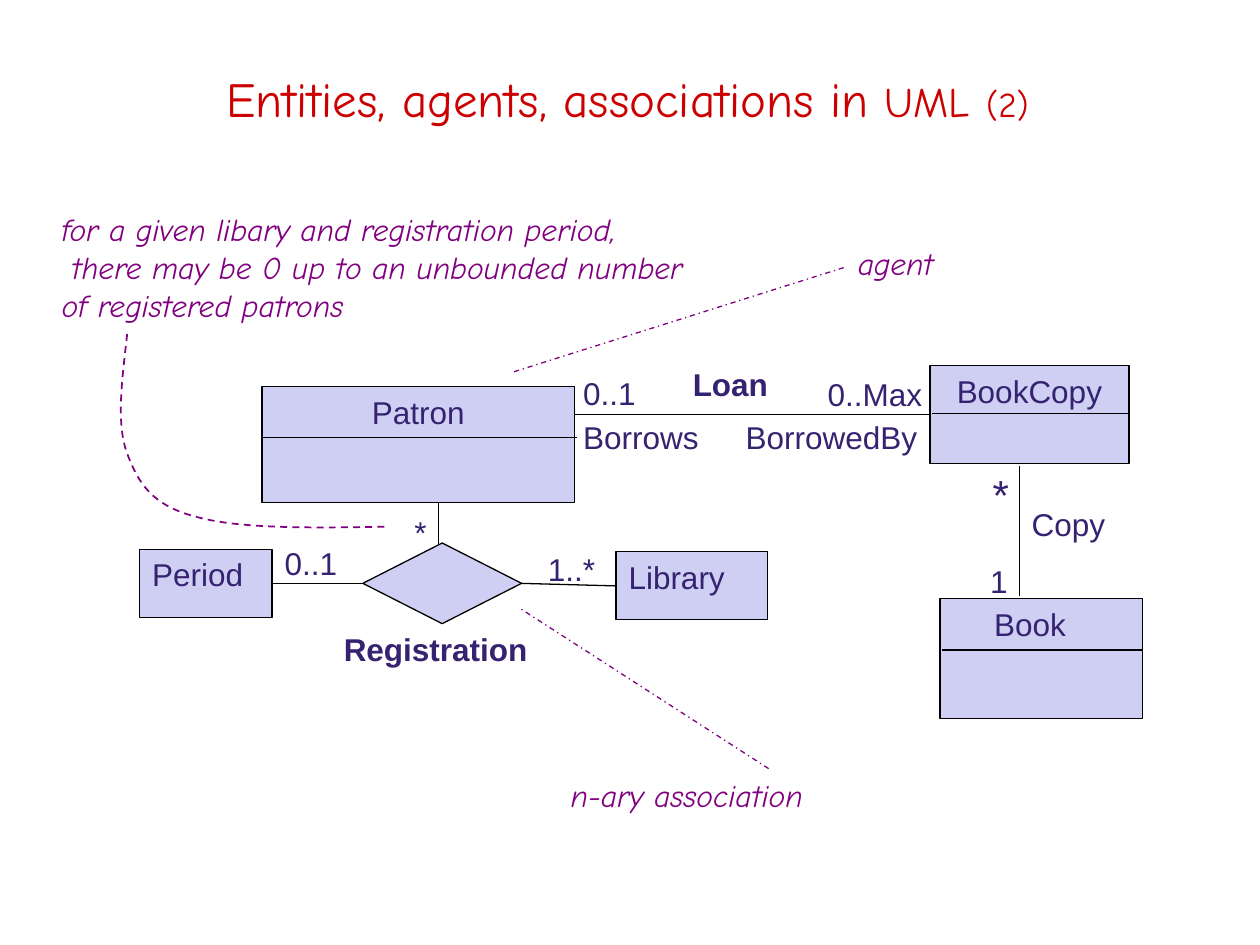
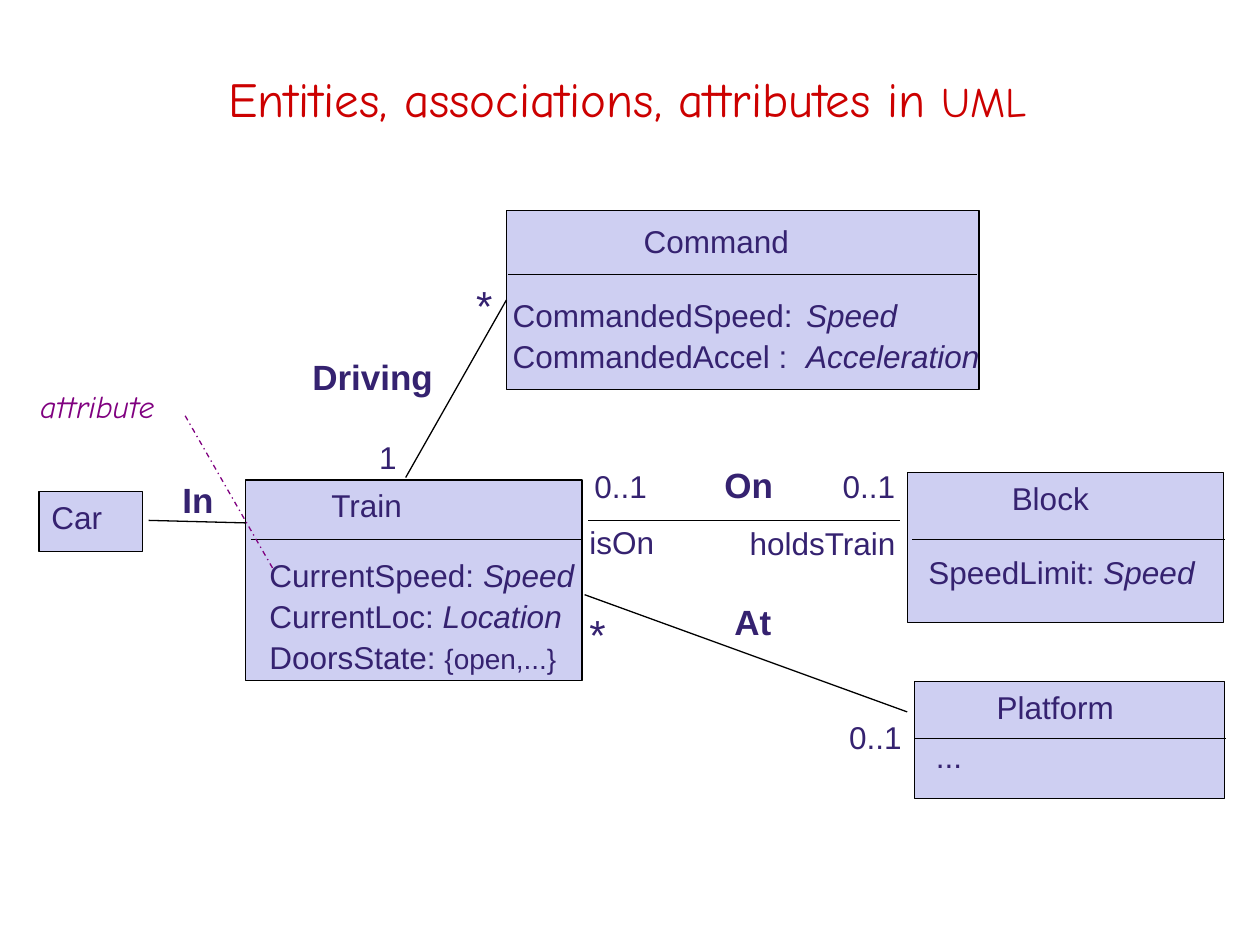
import pptx
import pptx.dml.color
import pptx.enum.dml
import pptx.enum.shapes
import pptx.enum.text
import pptx.oxml.ns
import pptx.util
from lxml import etree

Inches = pptx.util.Inches
Pt = pptx.util.Pt
qn = pptx.oxml.ns.qn
ALIGN = pptx.enum.text.PP_ALIGN
ANCHOR = pptx.enum.text.MSO_ANCHOR
SHAPE = pptx.enum.shapes.MSO_SHAPE
DASH = pptx.enum.dml.MSO_LINE

COLORS = {"title": "CC0000", "ink": "352270", "note": "800080",
          "box": "CECFF2", "line": "000000"}
LEFT, RIGHT = 1, 3  # connection sites

# Text formats
NAME = {"name": "Arial", "size": Pt(18), "color": "ink"}
STAR = {**NAME, "size": Pt(24)}
ASSOCIATION = {**NAME, "bold": True}
BIG_ASSOCIATION = {**ASSOCIATION, "size": Pt(20)}
NOTE = {"name": "Comic Neue", "size": Pt(18), "italic": True, "color": "note"}
TITLE = {"name": "Comic Neue", "size": Pt(28), "color": "title"}
TYPE = {"italic": True}


def rgb(key):
    return pptx.dml.color.RGBColor.from_string(COLORS[key])


class UmlDeck:
    """Holds the presentation, its style and the current slide."""

    def __init__(self):
        self.prs = pptx.Presentation()
        self.prs.slide_width, self.prs.slide_height = Inches(10), Inches(7.5)
        self.slide = None

    def new_slide(self, *title_runs):
        self.slide = self.prs.slides.add_slide(self.prs.slide_layouts[6])
        title = self.label([title_runs], 0.17, 0.33, 9.62, 0.89, TITLE)
        title.text_frame.vertical_anchor = ANCHOR.MIDDLE
        title.text_frame.margin_right = Inches(0.1)
        title.text_frame.paragraphs[0].alignment = ALIGN.CENTER

    def set_text(self, frame, content, style, inset=0.1, align=ALIGN.LEFT, gap=0):
        """Content is a string, or paragraphs made of strings and (text, format) runs."""
        layout = {"word_wrap": True, "vertical_anchor": ANCHOR.TOP,
                  "margin_left": Inches(inset), "margin_right": 0,
                  "margin_top": Inches(0.05), "margin_bottom": Inches(0.05)}
        for key, value in layout.items():
            setattr(frame, key, value)
        paragraphs = [[content]] if isinstance(content, str) else content
        for index, runs in enumerate(paragraphs):
            paragraph = frame.add_paragraph() if index else frame.paragraphs[0]
            paragraph.alignment = align
            if index and gap:
                paragraph.space_before = Pt(gap)
            for part in runs:
                text, extra = (part, {}) if isinstance(part, str) else part
                run = paragraph.add_run()
                run.text = text
                for key, value in {**style, **extra}.items():
                    if key == "color":
                        run.font.color.rgb = rgb(value)
                    else:
                        setattr(run.font, key, value)

    def label(self, content, left, top, width, height, style=NAME, gap=0):
        label = self.slide.shapes.add_textbox(
            Inches(left), Inches(top), Inches(width), Inches(height))
        self.set_text(label.text_frame, content, style, gap=gap)
        return label

    def labels(self, style, *entries):
        for entry in entries:
            self.label(*entry, style=style)

    def box(self, name, left, top, width, height, inset=0.1, align=ALIGN.LEFT,
            kind=SHAPE.RECTANGLE, outlined=True):
        box = self.slide.shapes.add_shape(
            kind, Inches(left), Inches(top), Inches(width), Inches(height))
        box.shadow.inherit = False
        box.fill.solid()
        box.fill.fore_color.rgb = rgb("box")
        if outlined:
            self.stroke(box.line)
        else:
            box.line.fill.background()
        if name:
            self.set_text(box.text_frame, name, NAME, inset, align)
            if align == ALIGN.CENTER:
                box.text_frame.margin_right = Inches(inset)
        return box

    def stroke(self, line, color="line", width=0.75, dash=None):
        line.color.rgb = rgb(color)
        line.width = Pt(width)
        if dash:
            line.dash_style = dash

    def line(self, x1, y1, x2, y2, begin=None, end=None, **stroke):
        """begin and end are (box, side) pairs to join."""
        line = self.slide.shapes.add_connector(
            pptx.enum.shapes.MSO_CONNECTOR.STRAIGHT,
            Inches(x1), Inches(y1), Inches(x2), Inches(y2))
        self.stroke(line.line, **stroke)
        etree.SubElement(line._element.spPr, qn("a:effectLst"))
        if begin:
            line.begin_connect(*begin)
        if end:
            line.end_connect(*end)

    def pointer(self, *ends):
        self.line(*ends, color="note", dash=DASH.DASH_DOT)

    def curve(self, start, *points):
        """Dashed curve; every three points are one cubic segment."""
        x, y = start
        builder = self.slide.shapes.build_freeform(Inches(x), Inches(y))
        builder.add_line_segments(
            [(Inches(px), Inches(py)) for px, py in points], close=False)
        curve = builder.convert_to_shape()
        curve.shadow.inherit = False
        curve.fill.background()
        self.stroke(curve.line, "note", 1, DASH.DASH)
        outline = curve._element.find(".//" + qn("a:path"))
        steps = outline.findall(qn("a:lnTo"))
        for first in range(0, len(steps), 3):
            segment = etree.SubElement(outline, qn("a:cubicBezTo"))
            for step in steps[first:first + 3]:
                segment.append(step[0])
                outline.remove(step)


def library_slide(deck):
    deck.new_slide("Entities, agents, associations in ", ("UML", {"size": Pt(24)}),
                   " ", ("(2)", {"size": Pt(20)}))

    # Lines that run under the boxes
    deck.line(3.48, 3.61, 3.48, 4.39)
    deck.line(8.09, 3.7, 8.09, 4.73)

    # Entities and the n-ary association
    book_copy = deck.box("BookCopy", 7.38, 2.9, 1.58, 0.78, align=ALIGN.CENTER)
    deck.box("Book", 7.46, 4.75, 1.61, 0.95, inset=0.43)
    registration = deck.box(None, 2.88, 4.31, 1.26, 0.64,
                            kind=SHAPE.FLOWCHART_DECISION)
    library = deck.box("Library", 4.89, 4.38, 1.2, 0.54)
    period = deck.box("Period", 1.11, 4.36, 1.05, 0.54)
    deck.line(4.54, 3.29, 7.38, 3.29, end=(book_copy, LEFT))
    deck.box("Patron", 2.08, 3.07, 2.48, 0.92, align=ALIGN.CENTER)

    # Joined ends and name dividers
    deck.line(4.14, 4.63, 4.89, 4.65, (registration, RIGHT), (library, LEFT))
    deck.line(2.16, 4.63, 2.88, 4.63, (period, RIGHT), (registration, LEFT))
    for left, right, y in ((7.4, 8.97, 3.28), (7.48, 9.07, 5.16), (2.08, 4.58, 3.47)):
        deck.line(left, y, right, y)

    # Roles, multiplicities and association names
    deck.labels(NAME,
                ("Copy", 8.09, 3.96, 1, 0.46),
                ("BorrowedBy", 5.82, 3.27, 1.62, 0.46),
                ("Borrows", 4.53, 3.27, 1.31, 0.46),
                ("1", 7.76, 4.41, 0.55, 0.46),
                ("0..1", 4.53, 2.92, 0.62, 0.46),
                ("0..Max", 6.47, 2.93, 1.06, 0.46),
                ("0..1", 2.16, 4.27, 0.62, 0.46),
                ("1..*", 4.25, 4.32, 0.62, 0.46),
                ("*", 3.19, 4.02, 0.37, 0.29))
    deck.labels(STAR, ("*", 7.78, 3.67, 0.55, 0.46))
    deck.labels(ASSOCIATION,
                ("Loan", 5.4, 2.85, 0.84, 0.46),
                ("Registration", 2.63, 4.95, 1.71, 0.46))

    # Notes and their pointers
    deck.labels(NOTE,
                ("n-ary association", 4.43, 6.11, 2.51, 0.44),
                ("agent", 6.71, 1.89, 0.96, 0.39))
    multiplicity = deck.label([["for a given libary and registration period,"],
                               ["there may be 0 up to an unbounded number"],
                               ["of registered patrons"]],
                              0.39, 1.62, 5.43, 0.87, NOTE)
    second_line = multiplicity.text_frame.paragraphs[1]
    second_line._p.get_or_add_pPr().set("marL", str(Inches(0.08)))
    deck.curve((1.01, 2.65),
               (0.97, 3.01), (0.92, 3.36), (1.01, 3.6),
               (1.1, 3.84), (1.21, 4.01), (1.55, 4.1),
               (1.9, 4.2), (2.49, 4.19), (3.08, 4.18))
    deck.pointer(6.1, 6.1, 4.13, 4.83)
    deck.pointer(4.08, 2.95, 6.71, 2.12)


def train_slide(deck):
    deck.new_slide("Entities, associations, attributes in ", ("UML", {"size": Pt(24)}))

    # Entities
    deck.box("Platform", 7.26, 5.41, 2.46, 0.93, inset=0.65)
    deck.box("Block", 7.2, 3.75, 2.51, 1.19, inset=0.83)
    deck.box("Train", 1.95, 3.81, 2.67, 1.59, inset=0.68)
    deck.box("Car", 0.31, 3.9, 0.82, 0.48)
    command = deck.box(None, 4.02, 1.67, 3.75, 1.42)
    deck.box("Command", 5.01, 1.71, 2.22, 0.56, outlined=False)

    # Name dividers
    for left, right, y in ((7.24, 9.72, 4.28), (1.99, 4.61, 4.28),
                           (7.26, 9.73, 5.86), (4.03, 7.75, 2.18)):
        deck.line(left, y, right, y)

    # Attributes
    deck.label([["SpeedLimit: ", ("Speed", TYPE)]], 7.27, 4.34, 2.4, 0.6)
    deck.label([["CurrentSpeed: ", ("Speed", TYPE)],
                ["CurrentLoc: ", ("Location", TYPE)],
                ["DoorsState: ", ("{open,...}", {"size": Pt(16)})]],
               2.04, 4.36, 2.7, 1.01, gap=2)
    deck.label("...", 7.33, 5.8, 0.63, 0.64)
    commanded = deck.label([["CommandedSpeed:\t", ("Speed", TYPE)],
                            ["CommandedAccel :\t", ("Acceleration", TYPE)]],
                           3.97, 2.3, 3.92, 0.75, gap=2)
    for paragraph in commanded.text_frame.paragraphs:
        stops = etree.SubElement(paragraph._p.get_or_add_pPr(), qn("a:tabLst"))
        etree.SubElement(stops, qn("a:tab"), pos=str(Inches(2.33)), algn="l")

    # Associations
    deck.line(1.18, 4.13, 1.95, 4.15)
    deck.line(4.64, 4.72, 7.2, 5.65)
    deck.line(4.67, 4.13, 7.14, 4.13)
    deck.line(3.22, 3.79, 4.02, 2.38, end=(command, LEFT))
    deck.labels(BIG_ASSOCIATION,
                ("At", 5.73, 4.72, 1.06, 0.64),
                ("On", 5.65, 3.63, 0.69, 0.64),
                ("In", 1.35, 3.75, 0.63, 0.52),
                ("Driving", 2.38, 2.77, 1.31, 0.64))

    # Roles and multiplicities
    deck.labels(NAME,
                ("0..1", 4.62, 3.66, 0.66, 0.69),
                ("0..1", 6.64, 5.65, 0.66, 0.69),
                ("0..1", 6.59, 3.66, 0.66, 0.69),
                ("isOn", 4.58, 4.1, 0.78, 0.69),
                ("holdsTrain", 5.85, 4.11, 1.59, 0.51),
                ("1", 2.91, 3.43, 0.42, 0.47))
    deck.labels(STAR,
                ("*", 4.58, 4.78, 0.5, 0.52),
                ("*", 3.68, 2.17, 0.5, 0.52))

    # Note and its pointer
    deck.labels(NOTE, ("attribute", 0.22, 3.02, 1.88, 0.41))
    deck.pointer(1.47, 3.3, 2.17, 4.52)


def main():
    deck = UmlDeck()
    library_slide(deck)
    train_slide(deck)
    deck.prs.save("out.pptx")


if __name__ == "__main__":
    main()
